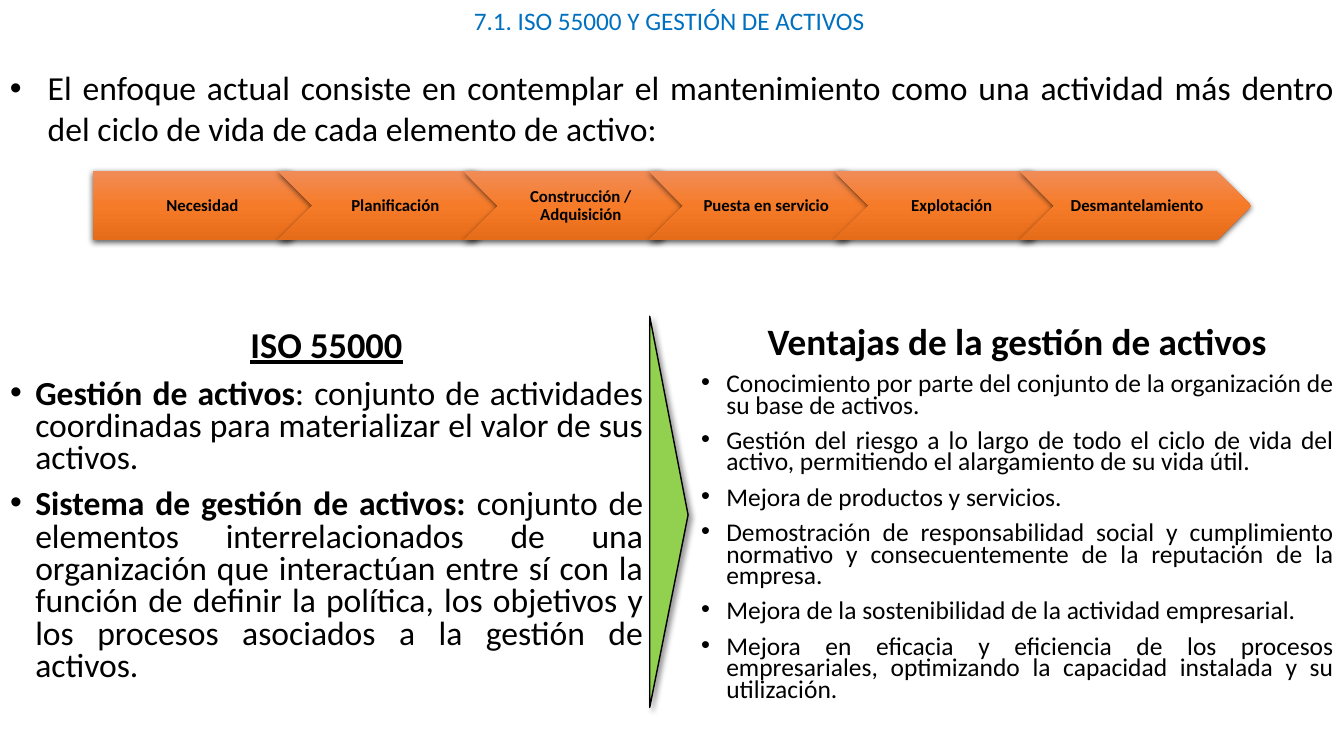
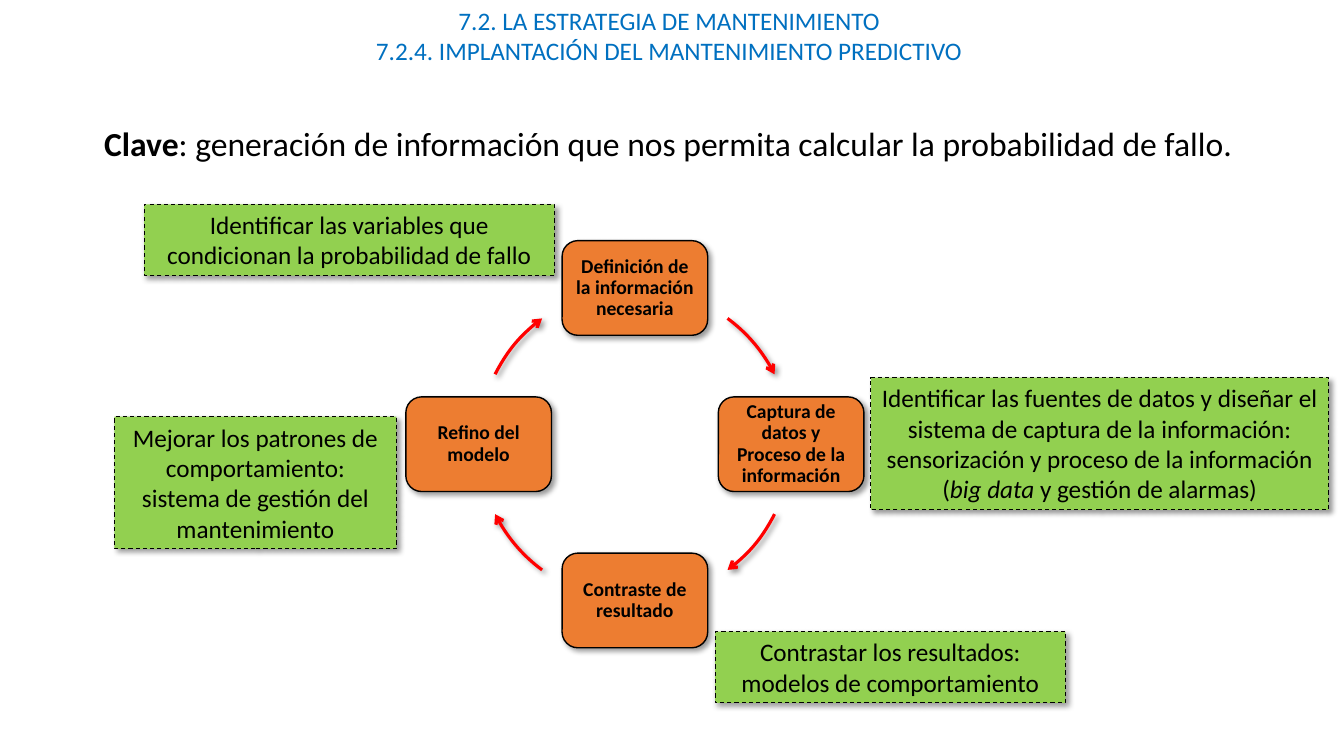
from copy import deepcopy
from math import cos, radians, sin

from lxml import etree
from pptx import Presentation
from pptx.dml.color import RGBColor
from pptx.enum import dml, shapes, text
from pptx.oxml import ns
from pptx.util import Pt

FONT = "Calibri"
BLACK = RGBColor(0x00, 0x00, 0x00)
BLUE = RGBColor(0x00, 0x70, 0xC0)
GREEN = RGBColor(0x92, 0xD0, 0x50)
ORANGE = RGBColor(0xED, 0x7D, 0x31)
RED = RGBColor(0xFF, 0x00, 0x00)
STEP_GRADIENT = (
    (0, RGBColor(0xF1, 0x8C, 0x57)),
    (0.5, RGBColor(0xF6, 0x7B, 0x28)),
    (1, RGBColor(0xE5, 0x6C, 0x19)),
)

WIDTH, HEIGHT = 960, 540
CENTER = text.PP_ALIGN.CENTER
JUSTIFY = text.PP_ALIGN.JUSTIFY
TOP = text.MSO_ANCHOR.TOP
MIDDLE = text.MSO_ANCHOR.MIDDLE
SOFT_SHADOW = (40, 4, 3, 45)
STEP_SHADOW = (63, 4.5, 1.5, 90)
CYCLE_X, CYCLE_Y, CYCLE_RADIUS = 453.5, 317.3, 111.6

STEPS = ("Necesidad", "Planificación", "Construcción / Adquisición",
         "Puesta en servicio", "Explotación", "Desmantelamiento")
DEFINITIONS = (
    ("Gestión de activos",
     ": conjunto de actividades coordinadas para materializar el valor de sus activos."),
    ("Sistema de gestión de activos: ",
     "conjunto de elementos interrelacionados de una organización que interactúan entre sí "
     "con la función de definir la política, los objetivos y los procesos asociados a la "
     "gestión de activos."),
)
ADVANTAGES = (
    "Conocimiento por parte del conjunto de la organización de su base de activos.",
    "Gestión del riesgo a lo largo de todo el ciclo de vida del activo, permitiendo el "
    "alargamiento de su vida útil.",
    "Mejora de productos y servicios. ",
    "Demostración de responsabilidad social y cumplimiento normativo y consecuentemente de "
    "la reputación de la empresa.",
    "Mejora de la sostenibilidad de la actividad empresarial.",
    "Mejora en eficacia y eficiencia de los procesos empresariales, optimizando la capacidad "
    "instalada y su utilización.",
)
STAGES = ("Definición de la información necesaria",
          "Captura de datos y Proceso de la información",
          "Contraste de resultado", "Refino del modelo")
NOTES = (
    ((103, 146, 293, 50.9), TOP,
     [("Identificar las variables que condicionan la probabilidad de fallo", "")]),
    ((622, 269.8, 327, 94.5), TOP,
     [("Identificar las fuentes de datos y diseñar el sistema de captura de la información: "
       "sensorización y proceso de la información (", ""),
      ("big data ", "i"), ("y gestión de alarmas)", "")]),
    ((510.8, 451.2, 250.3, 50.9), TOP,
     [("Contrastar los resultados: modelos de comportamiento", "")]),
    ((81.7, 297.6, 201.4, 94.5), MIDDLE,
     [("Mejorar los patrones de comportamiento: sistema de gestión del mantenimiento", "")]),
)


def add_xml(parent, tag, **attributes):
    return etree.SubElement(parent, ns.qn(tag), {key: str(val) for key, val in attributes.items()})


def place(shape, left, top, width, height):
    shape.left, shape.top, shape.width, shape.height = map(Pt, (left, top, width, height))


def setup_frame(frame, anchor=TOP, margins=(7.2, 3.6, 7.2, 3.6)):
    frame.word_wrap = True
    frame.auto_size = text.MSO_AUTO_SIZE.NONE
    frame.vertical_anchor = anchor
    (frame.margin_left, frame.margin_top,
     frame.margin_right, frame.margin_bottom) = map(Pt, margins)


def write(frame, runs, size, align=CENTER, color=BLACK, spacing=1, before=10, indent=0):
    first = not frame.paragraphs[0].runs
    para = frame.paragraphs[0] if first else frame.add_paragraph()
    props = para._p.get_or_add_pPr()
    props.set("marL", str(Pt(indent)))
    props.set("indent", str(-Pt(indent)))
    if indent:
        add_xml(props, "a:buFont", typeface="Arial")
        add_xml(props, "a:buChar", char="•")
    else:
        add_xml(props, "a:buNone")
    para.alignment = align
    para.line_spacing = spacing
    para.space_before = Pt(0 if first else before)
    para.space_after = Pt(0)
    for words, style in runs:
        span = para.add_run()
        span.text = words
        span.font.name = FONT
        span.font.size = Pt(size)
        span.font.color.rgb = color
        span.font.bold = "b" in style
        span.font.italic = "i" in style
        span.font.underline = "u" in style


def cast_shadow(shape, alpha, blur, distance, angle):
    shape.shadow.inherit = False
    effects = shape._element.spPr.find(ns.qn("a:effectLst"))
    outer = add_xml(effects, "a:outerShdw", blurRad=Pt(blur), dist=Pt(distance),
                    dir=angle * 60000, algn="tl", rotWithShape=0)
    shade = add_xml(outer, "a:srgbClr", val=BLACK)
    add_xml(shade, "a:alpha", val=alpha * 1000)


def add_filled(page, kind, area, fill, weight, dash=None):
    shape = page.shapes.add_shape(kind, *map(Pt, area))
    shape.fill.solid()
    shape.fill.fore_color.rgb = fill
    shape.line.color.rgb = BLACK
    shape.line.width = Pt(weight)
    if dash:
        shape.line.dash_style = dash
    cast_shadow(shape, *SOFT_SHADOW)
    return shape


def add_page(deck, layout, titles):
    page = deck.slides.add_slide(deck.slide_layouts.get_by_name(layout))
    title = page.shapes.title
    place(title, 0, 0, WIDTH, 7.2 + 21.8 * len(titles))
    setup_frame(title.text_frame)
    for line in titles:
        write(title.text_frame, [(line, "")], 18, color=BLUE, before=0)
    return page


def open_body(page, index, area):
    body = page.placeholders[index]
    place(body, *area)
    setup_frame(body.text_frame)
    return body.text_frame


def add_step(page, index, label):
    kind = shapes.MSO_SHAPE.CHEVRON if index else shapes.MSO_SHAPE.PENTAGON
    step = page.shapes.add_shape(kind, Pt(66.2 + 132.45 * index), Pt(122.3), Pt(165.5), Pt(49.4))
    step.fill.gradient()
    step.fill.gradient_angle = 270
    stop_list = step._element.spPr.find(ns.qn("a:gradFill")).find(ns.qn("a:gsLst"))
    stop_list.append(deepcopy(stop_list[-1]))
    for stop, (position, color) in zip(step.fill.gradient_stops, STEP_GRADIENT):
        stop.position = position
        stop.color.rgb = color
    step.line.fill.background()
    cast_shadow(step, *STEP_SHADOW)
    setup_frame(step.text_frame, MIDDLE, (3.6 if index else 5, 2.9, 1.4, 2.9))
    write(step.text_frame, [(label, "b")], 12, spacing=0.9)


def add_stage(page, degrees, label):
    x = CYCLE_X + CYCLE_RADIUS * sin(radians(degrees))
    y = CYCLE_Y - CYCLE_RADIUS * cos(radians(degrees))
    width, height = 104, 67.6
    box = add_filled(page, shapes.MSO_SHAPE.ROUNDED_RECTANGLE,
                     (x - width / 2, y - height / 2, width, height), ORANGE, 1)
    setup_frame(box.text_frame, MIDDLE, (4.2,) * 4)
    write(box.text_frame, [(label, "b")], 14, spacing=0.9)


def add_cycle_arrow(page, start, end):
    arrow = page.shapes.add_shape(
        shapes.MSO_SHAPE.ARC, Pt(CYCLE_X - CYCLE_RADIUS), Pt(CYCLE_Y - CYCLE_RADIUS),
        Pt(2 * CYCLE_RADIUS), Pt(2 * CYCLE_RADIUS))
    for index, degrees in enumerate((start, end)):
        arrow.adjustments[index] = (degrees - 90) % 360 * 0.6
    arrow.fill.background()
    arrow.line.color.rgb = RED
    arrow.line.width = Pt(2.25)
    add_xml(arrow.line._get_or_add_ln(), "a:tailEnd", type="arrow")
    cast_shadow(arrow, *SOFT_SHADOW)


def add_note(page, area, anchor, runs):
    note = add_filled(page, shapes.MSO_SHAPE.RECTANGLE, area, GREEN, 0.75,
                      dml.MSO_LINE.DASH)
    setup_frame(note.text_frame, anchor)
    write(note.text_frame, runs, 18)


def build_assets_page(deck):
    page = add_page(deck, "Two Content", ["7.1. ISO 55000 Y GESTIÓN DE ACTIVOS "])
    left = open_body(page, 1, (0, 232.4, 466.6, 279.4))
    write(left, [("ISO 55000", "bu")], 26, spacing=0.8)
    for term, meaning in DEFINITIONS:
        write(left, [(term, "b"), (meaning, "")], 24, JUSTIFY, spacing=0.8, indent=18)

    intro = page.shapes.add_textbox(0, Pt(44.6), Pt(WIDTH), Pt(65.5)).text_frame
    setup_frame(intro)
    write(intro, [("El enfoque actual consiste en contemplar el mantenimiento como una actividad "
                   "más dentro del ciclo de vida de cada elemento de activo:", "")],
          24, JUSTIFY, indent=27)
    for index, label in enumerate(STEPS):
        add_step(page, index, label)

    right = open_body(page, 2, (493.6, 232.4, 466.6, 279.4))
    write(right, [("Ventajas de la gestión de activos", "b")], 26.6, spacing=0.7)
    for advantage in ADVANTAGES:
        write(right, [(advantage, "")], 18.2, JUSTIFY, spacing=0.7, indent=18)

    pointer = add_filled(page, shapes.MSO_SHAPE.ISOSCELES_TRIANGLE,
                         (338.1, 351.9, 279.4, 27.4), GREEN, 1)
    pointer.adjustments[0] = 0.508
    pointer.rotation = 90


def build_predictive_page(deck):
    page = add_page(deck, "Title and Content",
                    ["7.2. LA ESTRATEGIA DE MANTENIMIENTO ",
                     "7.2.4. IMPLANTACIÓN DEL MANTENIMIENTO PREDICTIVO "])
    key = open_body(page, 1, (0, 87.8, WIDTH, 36.7))
    write(key, [("Clave", "b"), (": generación de información que nos permita calcular la "
                                 "probabilidad de fallo. ", "")], 24, spacing=0.9)
    for index, label in enumerate(STAGES):
        degrees = 90 * index
        gap_before, gap_after = (26.6, 36.4) if index % 2 else (36.4, 26.6)
        add_stage(page, degrees, label)
        add_cycle_arrow(page, degrees + gap_before, degrees + 90 - gap_after)
    for area, anchor, runs in NOTES:
        add_note(page, area, anchor, runs)


def main():
    deck = Presentation()
    deck.slide_width, deck.slide_height = Pt(WIDTH), Pt(HEIGHT)
    build_assets_page(deck)
    build_predictive_page(deck)
    deck.save("out.pptx")


if __name__ == "__main__":
    main()
